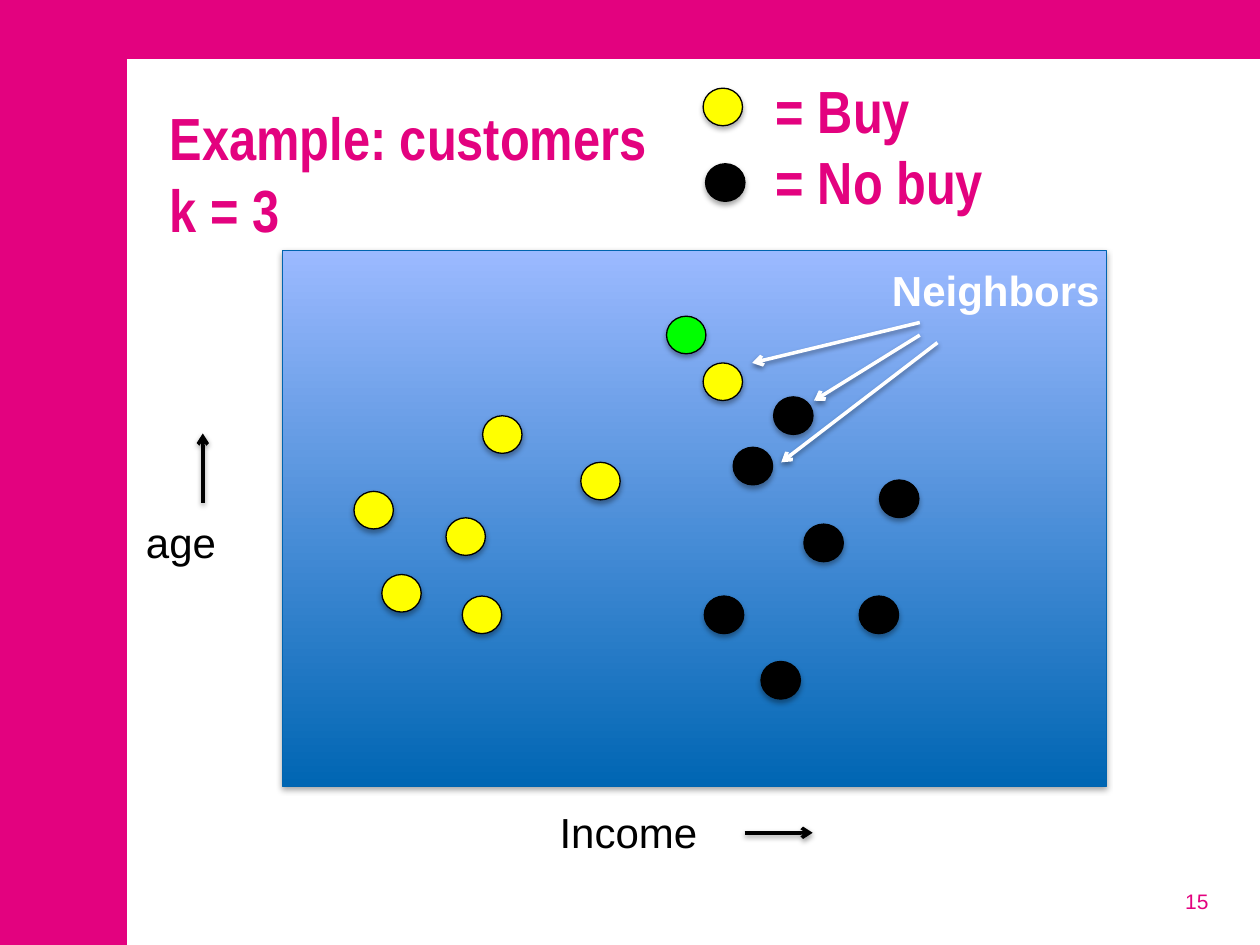
from pptx import Presentation
from pptx.dml.color import RGBColor
from pptx.enum.shapes import MSO_CONNECTOR, MSO_SHAPE
from pptx.enum.text import MSO_ANCHOR, PP_ALIGN
from pptx.oxml import parse_xml
from pptx.oxml.ns import nsdecls, qn
from pptx.util import Pt

RECT, OVAL = MSO_SHAPE.RECTANGLE, MSO_SHAPE.OVAL
STRAIGHT = MSO_CONNECTOR.STRAIGHT
TOP, MIDDLE = MSO_ANCHOR.TOP, MSO_ANCHOR.MIDDLE
LEFT, RIGHT = PP_ALIGN.LEFT, PP_ALIGN.RIGHT

THEME = {
    "brand": "E3027F", "paper": "FFFFFF", "ink": "000000",
    "buy": "FFFF00", "no_buy": "000000", "customer": "00FF00",
    "panel_low": "0066B3", "panel_high": "9BB9FF", "panel_line": "0064AF",
    "styles": {
        "heading": {"name": "Arial Narrow", "size": Pt(34), "bold": True},
        "label": {"name": "Arial", "size": Pt(24), "bold": False},
        "strong": {"name": "Arial", "size": Pt(24), "bold": True},
        "number": {"name": "Arial", "size": Pt(12), "bold": False},
    },
}

PAPER = (72.7, 33.8, 647.3, 506.2)
PANEL = (161.3, 143.3, 470.9, 306)
DOT = (22.5, 21.5)

DOTS = {
    "buy": [(401.8, 50.4), (218.2, 328.3), (202.3, 280.8), (275.8, 237.6),
            (254.9, 295.9), (264.2, 340.6), (401.8, 207.4), (331.9, 264.2)],
    "no_buy": [(403.2, 93.6), (442.1, 226.8), (419, 255.6), (459.4, 299.5),
               (502.6, 274.3), (491, 340.6), (402.5, 340.6), (434.9, 378)],
    "customer": [(380.9, 180.7)],
}

ARROWS = {
    "ink": [(115.9, 287.3, 115.9, 247.7), (425.5, 475.9, 464.4, 475.9)],
    "paper": [(525.6, 184.3, 429.8, 207.4), (525.6, 191.5, 465.1, 229),
              (535.7, 195.8, 446.4, 264.2)],
}

TEXTS = [
    ("Example: customers\vk = 3", (90, 50.4, 607.7, 96.5), "heading", "brand", MIDDLE, LEFT),
    ("= Buy\n= No buy", (436.3, 34.6, 241.2, 96.5), "heading", "brand", MIDDLE, LEFT),
    ("Income", (312.7, 457.2, 231.6, 36), "label", "ink", TOP, LEFT),
    ("age", (76.3, 291.6, 118.8, 36), "label", "ink", TOP, LEFT),
    ("Neighbors", (502.6, 147.6, 141.1, 36), "strong", "paper", TOP, LEFT),
    ("15", (529.9, 500.4, 167.8, 28.8), "number", "brand", MIDDLE, RIGHT),
]


def color(key):
    return RGBColor.from_string(THEME[key])


def add_shadow(sp, alpha, dist):
    sp._element.spPr.append(parse_xml(
        f'<a:effectLst {nsdecls("a")}><a:outerShdw blurRad="{Pt(3.1)}" dist="{Pt(dist)}" '
        f'dir="5400000" rotWithShape="0"><a:srgbClr val="000000">'
        f'<a:alpha val="{alpha * 1000}"/></a:srgbClr></a:outerShdw></a:effectLst>'))


def add_box(s, kind, box, fill=None, line=None):
    sp = s.shapes.add_shape(kind, *map(Pt, box))
    if fill:
        sp.fill.solid()
        sp.fill.fore_color.rgb = color(fill)
    if line:
        sp.line.color.rgb = color(line)
        sp.line.width = Pt(0.75)
        add_shadow(sp, 35, 1.8)
    else:
        sp.line.fill.background()
        sp.shadow.inherit = False
    return sp


def add_panel(s):
    sp = add_box(s, RECT, PANEL, line="panel_line")
    sp.fill.gradient()
    sp.fill.gradient_angle = 90
    for stop, position, key in zip(sp.fill.gradient_stops, (0, 1), ("panel_low", "panel_high")):
        stop.position = position
        stop.color.rgb = color(key)


def add_arrow(s, ends, key):
    sp = s.shapes.add_connector(STRAIGHT, *map(Pt, ends))
    sp.line.color.rgb = color(key)
    sp.line.width = Pt(2)
    sp._element.spPr.find(qn("a:ln")).append(
        parse_xml(f'<a:tailEnd {nsdecls("a")} type="arrow"/>'))
    add_shadow(sp, 38, 1.6)


def add_text(s, text, box, style, key, anchor, align):
    tf = s.shapes.add_textbox(*map(Pt, box)).text_frame
    tf.word_wrap = True
    tf.vertical_anchor = anchor
    tf.text = text
    for p in tf.paragraphs:
        p.alignment = align
        for r in p.runs:
            for name, value in THEME["styles"][style].items():
                setattr(r.font, name, value)
            r.font.color.rgb = color(key)


def main():
    """Build the nearest-neighbors example slide."""
    prs = Presentation()
    prs.slide_width, prs.slide_height = Pt(720), Pt(540)
    s = prs.slides.add_slide(prs.slide_layouts[6])
    s.background.fill.solid()
    s.background.fill.fore_color.rgb = color("brand")
    add_box(s, RECT, PAPER, "paper")
    add_panel(s)
    for key, points in DOTS.items():
        for point in points:
            add_box(s, OVAL, point + DOT, key, "ink")
    for key, lines in ARROWS.items():
        for ends in lines:
            add_arrow(s, ends, key)
    for item in TEXTS:
        add_text(s, *item)
    prs.save("out.pptx")


if __name__ == "__main__":
    main()
